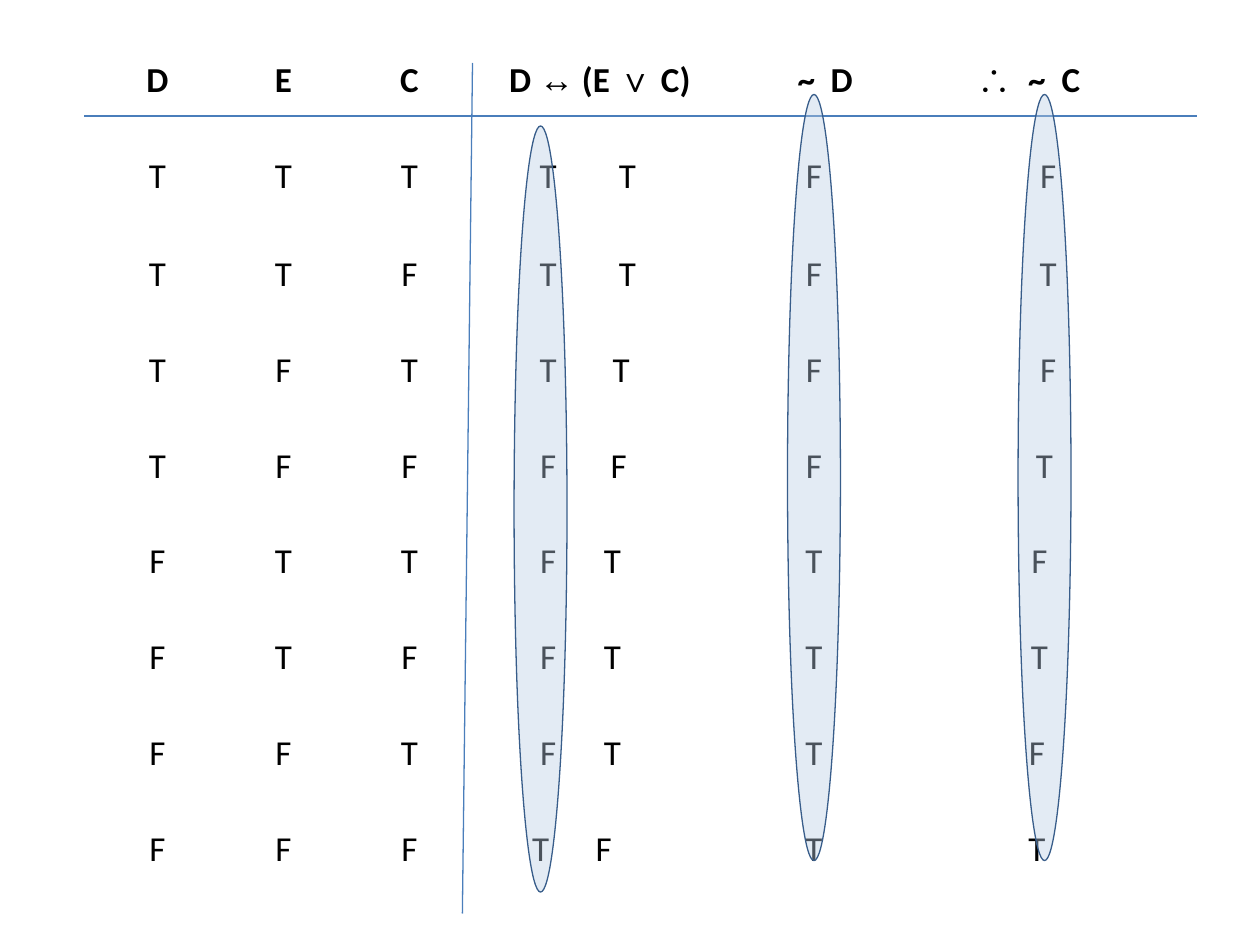
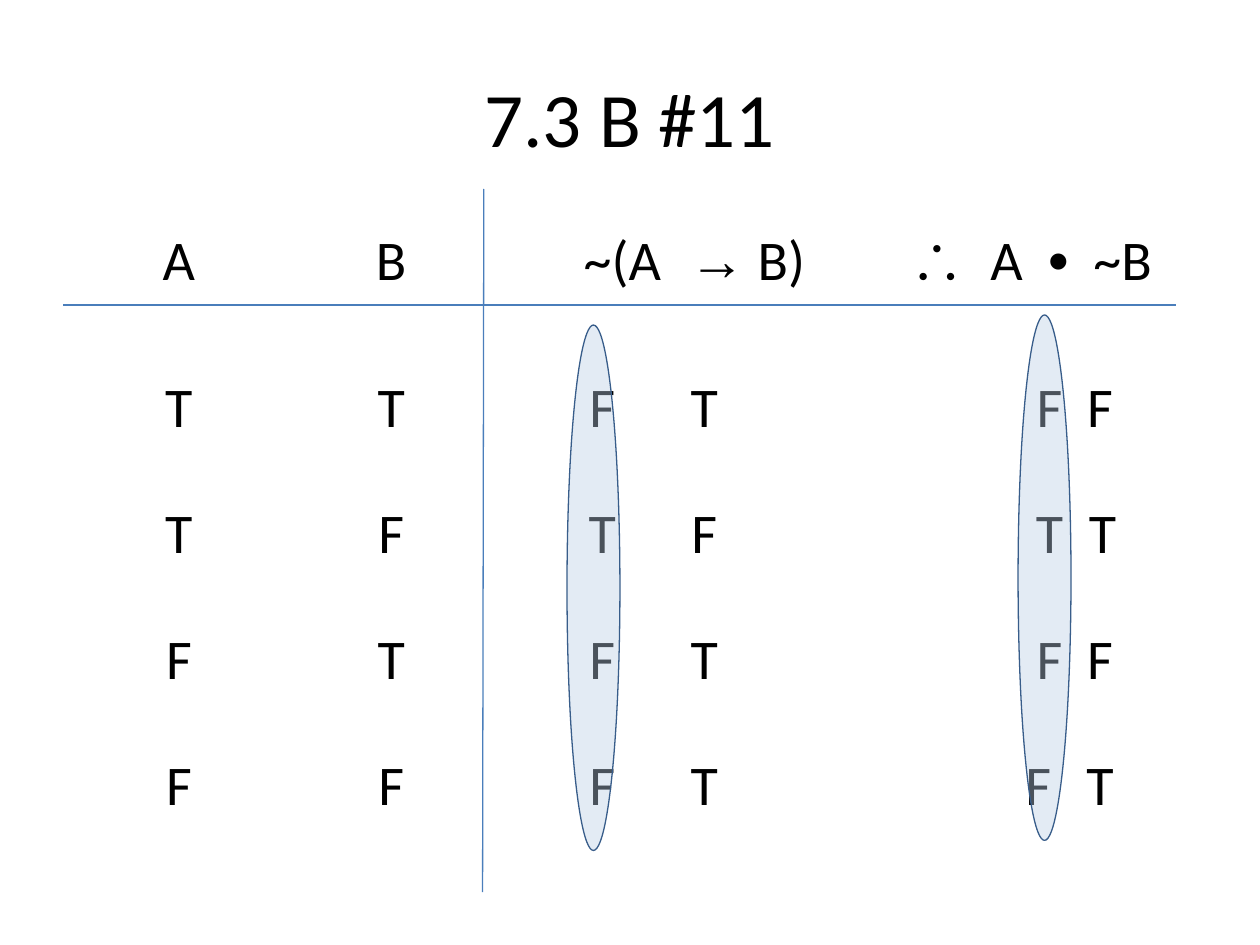
"""Build two truth-table slides with the deciding columns highlighted."""
from dataclasses import dataclass
from itertools import accumulate, groupby, product
from typing import Any

from lxml import etree
from pptx import Presentation
from pptx import util as u
from pptx.dml.color import RGBColor
from pptx.enum import shapes, text
from pptx.oxml import ns


@dataclass(frozen=True)
class Theme:
    ink: RGBColor = RGBColor.from_string("000000")
    rule: RGBColor = RGBColor.from_string("4A7EBB")
    oval_fill: RGBColor = RGBColor.from_string("B9CDE5")
    oval_line: RGBColor = RGBColor.from_string("385D8A")
    oval_alpha: int = 40000
    body_font: str = "Calibri"
    symbol_font: str = "Arial"
    symbols: str = "↔∨∴→•"
    title_size: int = 44
    rule_width: float = 0.75
    inset: float = 0.1
    oval_width: float = 0.42


@dataclass(frozen=True)
class Mark:
    text: str
    center: float | None = None


@dataclass(frozen=True)
class Strand:
    values: str
    centers: list[float] | None = None

    def mark(self, row: int) -> Mark:
        return Mark(self.values[row], self.centers[row] if self.centers else None)


@dataclass(frozen=True)
class Column:
    width: float
    header: list[Mark]
    strands: list[Strand]


@dataclass(frozen=True)
class TruthTable:
    left: float
    top: float
    row_heights: list[float]
    columns: list[Column]
    size: int
    bold_header: bool = False
    bold_symbols: bool = False


@dataclass(frozen=True)
class Rule:
    start: tuple[float, float]
    end: tuple[float, float]


@dataclass(frozen=True)
class Oval:
    left: float
    top: float
    height: float


THEME = Theme()


def apply_format(target: Any, values: dict[str, Any]) -> None:
    for name, value in values.items():
        setattr(target, name, value)


def add_runs(paragraph: Any, words: str, size: int, bold: bool, bold_symbols: bool = False) -> None:
    for is_symbol, letters in groupby(words, lambda letter: letter in THEME.symbols):
        run = paragraph.add_run()
        run.text = "".join(letters)
        apply_format(run.font, {
            "name": THEME.symbol_font if is_symbol else THEME.body_font,
            "size": u.Pt(size),
            "bold": bold or (is_symbol and bold_symbols),
        })
        run.font.color.rgb = THEME.ink


def add_tab_stops(paragraph: Any, positions: list[float]) -> None:
    properties = paragraph._p.get_or_add_pPr()
    stops = etree.SubElement(properties, ns.qn("a:tabLst"))
    for position in positions:
        etree.SubElement(stops, ns.qn("a:tab"), pos=str(u.Inches(position)), algn="ctr")


def fill_cell(cell: Any, marks: list[Mark], text_left: float, table: TruthTable, bold: bool) -> None:
    cell.fill.background()
    paragraph = cell.text_frame.paragraphs[0]
    centers = [mark.center for mark in marks if mark.center is not None]
    if centers:
        add_tab_stops(paragraph, [center - text_left for center in centers])
        paragraph.alignment = text.PP_ALIGN.LEFT
    else:
        paragraph.alignment = text.PP_ALIGN.CENTER
    for mark in marks:
        words = mark.text if mark.center is None else "\t" + mark.text
        add_runs(paragraph, words, table.size, bold, table.bold_symbols)


def add_truth_table(slide: Any, table: TruthTable) -> None:
    widths = [column.width for column in table.columns]
    frame = slide.shapes.add_table(
        len(table.row_heights), len(widths), u.Inches(table.left), u.Inches(table.top),
        u.Inches(sum(widths)), u.Inches(sum(table.row_heights)))
    grid = frame.table
    apply_format(grid, {"first_row": False, "horz_banding": False})
    for row, height in zip(grid.rows, table.row_heights):
        row.height = u.Inches(height)
    lefts = accumulate(widths, initial=table.left)
    for index, (column, left) in enumerate(zip(table.columns, lefts)):
        grid.columns[index].width = u.Inches(column.width)
        text_left = left + THEME.inset
        fill_cell(grid.cell(0, index), column.header, text_left, table, table.bold_header)
        for row in range(len(table.row_heights) - 1):
            marks = [strand.mark(row) for strand in column.strands]
            fill_cell(grid.cell(row + 1, index), marks, text_left, table, False)


def add_rule(slide: Any, rule: Rule) -> None:
    ends = [u.Inches(value) for value in (*rule.start, *rule.end)]
    connector = slide.shapes.add_connector(shapes.MSO_CONNECTOR.STRAIGHT, *ends)
    connector.line.color.rgb = THEME.rule
    connector.line.width = u.Pt(THEME.rule_width)
    etree.SubElement(connector._element.spPr, ns.qn("a:effectLst"))


def add_oval(slide: Any, oval: Oval) -> None:
    box = [u.Inches(value) for value in (oval.left, oval.top, THEME.oval_width, oval.height)]
    shape = slide.shapes.add_shape(shapes.MSO_SHAPE.OVAL, *box)
    shape.shadow.inherit = False
    shape.fill.solid()
    shape.fill.fore_color.rgb = THEME.oval_fill
    color = shape._element.spPr.find(ns.qn("a:solidFill"))[0]
    etree.SubElement(color, ns.qn("a:alpha"), val=str(THEME.oval_alpha))
    shape.line.color.rgb = THEME.oval_line
    shape.line.width = u.Pt(0)


def add_title(slide: Any, words: str) -> None:
    title = slide.shapes.title
    apply_format(title, {"left": u.Inches(0.5), "top": u.Inches(0.3),
                         "width": u.Inches(9), "height": u.Inches(1.25)})
    title.text_frame.vertical_anchor = text.MSO_ANCHOR.MIDDLE
    paragraph = title.text_frame.paragraphs[0]
    paragraph.alignment = text.PP_ALIGN.CENTER
    add_runs(paragraph, words, THEME.title_size, False)


def letter_columns(letters: str, widths: list[float]) -> list[Column]:
    assignments = zip(*product("TF", repeat=len(letters)))
    return [Column(width, [Mark(letter)], [Strand("".join(values))])
            for letter, width, values in zip(letters, widths, assignments)]


def add_slide(presentation: Any, title: str | None, table: TruthTable,
              rules: list[Rule], ovals: list[Oval]) -> None:
    layout = "Title Only" if title else "Blank"
    slide = presentation.slides.add_slide(presentation.slide_layouts.get_by_name(layout))
    if title:
        add_title(slide, title)
    add_truth_table(slide, table)
    for rule in rules:
        add_rule(slide, rule)
    for oval in ovals:
        add_oval(slide, oval)


BICONDITIONAL = TruthTable(
    left=0.75, top=0.42, row_heights=[0.76, 0.78] + [0.76] * 7, size=20, bold_header=True,
    columns=letter_columns("DEC", [1, 1, 1]) + [
        Column(1.92, [Mark("D ↔ (E ∨ C)", 4.76)], [
            Strand("TTTFFFFT", [4.35] * 7 + [4.29]),
            Strand("TTTFTTTF", [4.98, 4.98, 4.93, 4.91, 4.86, 4.86, 4.86, 4.79]),
        ]),
        Column(1.58, [Mark("~", 6.4), Mark("D", 6.68)], [Strand("FFFFTTTT")]),
        Column(1.83, [Mark("∴", 7.89), Mark("~", 8.23), Mark("C", 8.5)], [
            Strand("FTFTFTFT", [8.32] * 3 + [8.29] + [8.25] * 2 + [8.23] * 2),
        ]),
    ])

CONDITIONAL = TruthTable(
    left=0.5, top=1.75, row_heights=[1.17] + [1] * 4, size=32, bold_symbols=True,
    columns=letter_columns("AB", [1.84, 1.53]) + [
        Column(3.25, [Mark("~(A", 4.94), Mark("→ B)", 5.93)], [
            Strand("FTFF", [4.78] * 4),
            Strand("TFTT", [5.59] * 4),
        ]),
        Column(2.21, [Mark("∴", 7.44), Mark("A", 7.99), Mark("•", 8.4), Mark("~B", 8.91)], [
            Strand("FTFF", [8.33] * 3 + [8.24]),
            Strand("FTFT", [8.73, 8.75, 8.73, 8.73]),
        ]),
    ])


def main() -> None:
    presentation = Presentation()
    apply_format(presentation, {"slide_width": u.Inches(10), "slide_height": u.Inches(7.5)})
    add_slide(presentation, None, BICONDITIONAL,
              [Rule((3.75, 0.5), (3.67, 7.25)), Rule((0.67, 0.92), (9.5, 0.92))],
              [Oval(4.08, 1, 6.08), Oval(6.25, 0.75, 6.08), Oval(8.08, 0.75, 6.08)])
    add_slide(presentation, "7.3 B #11", CONDITIONAL,
              [Rule((3.84, 1.5), (3.83, 7.08)), Rule((0.5, 2.42), (9.33, 2.42))],
              [Oval(4.5, 2.58, 4.17), Oval(8.08, 2.5, 4.17)])
    presentation.save("out.pptx")


if __name__ == "__main__":
    main()
